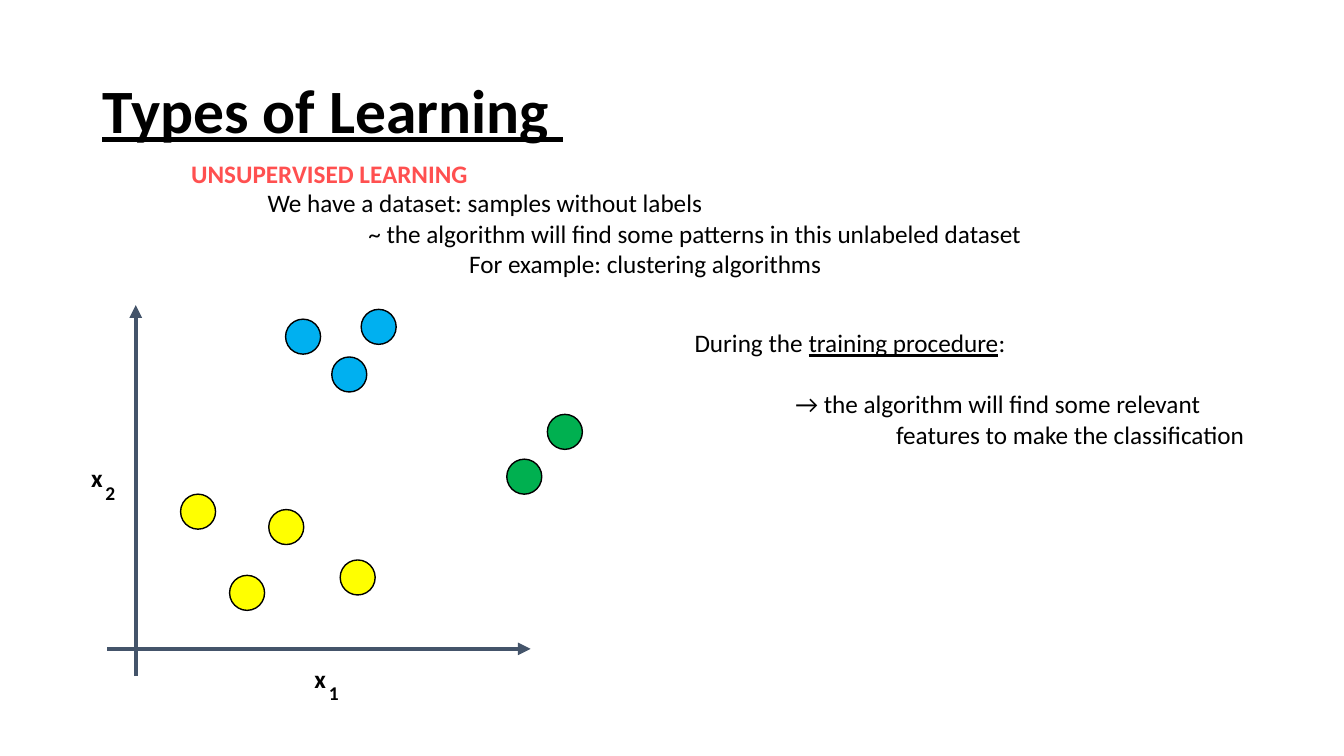
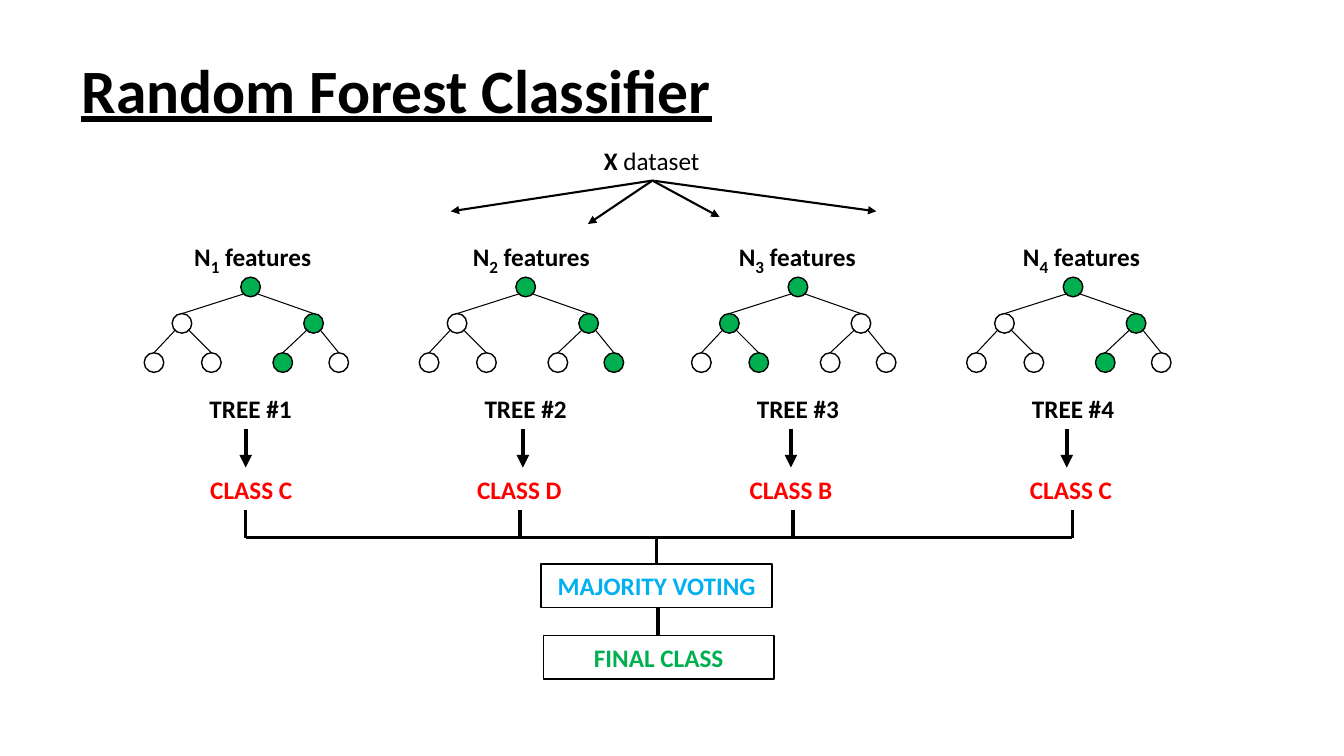
from dataclasses import dataclass

from lxml import etree
from pptx import Presentation
from pptx.dml.color import RGBColor
from pptx.enum import shapes, text
from pptx.oxml import ns
from pptx.util import Pt


@dataclass(frozen=True)
class Theme:
    font: str = "Calibri"
    black: str = "000000"
    white: str = "FFFFFF"
    axis: str = "44546A"
    coral: str = "FF5050"
    red: str = "FF0000"
    blue: str = "00B0F0"
    green: str = "00B050"
    yellow: str = "FFFF00"
    title: float = 44
    body: float = 18
    axis_sub: float = 24   # shrinks to about 14 pt as a subscript
    label_sub: float = 21  # shrinks to about 12 pt as a subscript


T = Theme()

# Scatter plot: left and top of each sample, by cluster
DOT = 25
CLUSTERS = {
    T.yellow: [(129, 353), (164, 411), (192, 364), (243, 400)],
    T.blue: [(204, 228), (237, 255), (258, 221)],
    T.green: [(362, 328), (391, 296)],
}

# Decision tree: node centres relative to the root; children of i are 2i+1, 2i+2
NODE = 14
ROOT_Y = 205
NODES = [(0, 0), (-49, 26), (45, 26), (-69, 54), (-28, 54), (23, 54), (63, 54)]


@dataclass(frozen=True)
class Tree:
    root: float
    features: float
    arrow: float
    vote: float
    drop: float
    tip: tuple
    path_nodes: tuple
    result: str


FOREST = [
    Tree(179, 180.5, 175.5, 179.5, 175.5, (322, 151), (0, 2, 5), "C"),
    Tree(375.5, 379.5, 373.5, 371, 371.5, (420, 160), (0, 2, 6), "D"),
    Tree(570, 569.5, 565, 565, 566.5, (514, 155), (0, 1, 4), "B"),
    Tree(766.5, 772.5, 762, 765, 766, (626, 151), (0, 2, 5), "C"),
]


# Text
def style_run(r, size=T.body, color=T.black, bold=False, underline=False,
              drop=0, gap=0):
    """drop is a subscript's depth in percent; gap is extra spacing in points."""
    f = r.font
    f.name, f.size, f.bold, f.underline = T.font, Pt(size), bold, underline
    f.color.rgb = RGBColor.from_string(color)
    rpr = r._r.get_or_add_rPr()
    if drop:
        rpr.set("baseline", str(-drop * 1000))
    if gap:
        rpr.set("spc", str(gap * 100))


def add_text(slide, box, paragraphs, align=text.PP_ALIGN.LEFT):
    """Each paragraph is (indent, space before, [(text, style), ...])."""
    sp = slide.shapes.add_textbox(*map(Pt, box))
    tf = sp.text_frame
    tf.word_wrap = True
    for i, (indent, before, runs) in enumerate(paragraphs):
        p = tf.add_paragraph() if i else tf.paragraphs[0]
        p.alignment = align
        if indent:
            p._p.get_or_add_pPr().set("marL", str(Pt(indent)))
        if before:
            p.space_before = Pt(before)
        for words, style in runs:
            r = p.add_run()
            r.text = words
            style_run(r, **style)


def add_label(slide, center, top, *runs, width=130):
    add_text(slide, (center - width / 2, top, width, 29), [(0, 0, runs)],
             text.PP_ALIGN.CENTER)


def add_title(prs, words, left, top):
    slide = prs.slides.add_slide(prs.slide_layouts[5])
    sp = slide.shapes.title
    sp.left, sp.top, sp.width, sp.height = map(Pt, (left, top, 828, 104))
    tf = sp.text_frame
    tf.text = words
    tf.word_wrap = True
    tf.auto_size = text.MSO_AUTO_SIZE.NONE
    tf.vertical_anchor = text.MSO_ANCHOR.MIDDLE
    p = tf.paragraphs[0]
    p.alignment, p.line_spacing = text.PP_ALIGN.LEFT, 0.9
    style_run(p.runs[0], size=T.title, bold=True, underline=True)
    return slide


# Shapes and lines
def add_outlined(slide, kind, box, fill):
    sp = slide.shapes.add_shape(kind, *map(Pt, box))
    sp.shadow.inherit = False
    sp.fill.solid()
    sp.fill.fore_color.rgb = RGBColor.from_string(fill)
    sp.line.color.rgb = RGBColor.from_string(T.black)
    sp.line.width = Pt(1)
    return sp


def add_circle(slide, left, top, size, fill):
    add_outlined(slide, shapes.MSO_SHAPE.OVAL, (left, top, size, size), fill)


def add_box(slide, left, top, words, color):
    sp = add_outlined(slide, shapes.MSO_SHAPE.RECTANGLE,
                      (left, top, 165, 31), T.white)
    tf = sp.text_frame
    tf.text = words
    tf.vertical_anchor = text.MSO_ANCHOR.MIDDLE
    p = tf.paragraphs[0]
    p.alignment = text.PP_ALIGN.CENTER
    style_run(p.runs[0], color=color, bold=True)


def add_line(slide, start, end, width, color=T.black, arrow=False):
    line = slide.shapes.add_connector(
        shapes.MSO_CONNECTOR.STRAIGHT, *map(Pt, (*start, *end)))
    line.line.color.rgb = RGBColor.from_string(color)
    line.line.width = Pt(width)
    if arrow:
        etree.SubElement(line.line._get_or_add_ln(), ns.qn("a:tailEnd"),
                         type="triangle")
    etree.SubElement(line._element.spPr, ns.qn("a:effectLst"))


def add_axis_name(slide, left, top, number):
    add_text(slide, (left, top, 45, 29), [(0, 0, [
        ("x", dict(bold=True, gap=2)),
        (number, dict(size=T.axis_sub, bold=True, drop=38)),
    ])])


def add_tree(slide, root_x, path_nodes):
    centers = [(root_x + dx, ROOT_Y + dy) for dx, dy in NODES]
    radius = NODE / 2
    for i, (x, y) in enumerate(centers):
        fill = T.green if i in path_nodes else T.white
        add_circle(slide, x - radius, y - radius, NODE, fill)
    rim = radius * 0.71  # the 45 degree point on a node's edge
    for i, (x, y) in enumerate(centers[1:]):
        parent_x, parent_y = centers[i // 2]
        side = -rim if x < parent_x else rim
        add_line(slide, (parent_x + side, parent_y + rim), (x, y - radius), 0.75)


# Slides
def build_learning(prs):
    slide = add_title(prs, "Types of Learning ", 66, 29)
    add_text(slide, (129.5, 109.5, 240, 29), [
        (0, 0, [("UNSUPERVISED LEARNING", dict(color=T.coral, bold=True))])])
    add_text(slide, (184, 130.5, 580, 80), [
        (0, 0, [("We have a dataset: samples without labels", {})]),
        (72, 0, [("~ the algorithm will find some patterns in this "
                  "unlabeled dataset", {})]),
        (144, 0, [("For example: clustering algorithms", {})]),
    ])

    # Axes and samples
    add_line(slide, (97, 483), (97, 218), 3, T.axis, arrow=True)
    add_line(slide, (76.5, 463.5), (379, 463.5), 3, T.axis, arrow=True)
    add_axis_name(slide, 58, 321, "2")
    add_axis_name(slide, 217.5, 464, "1")
    for color, places in CLUSTERS.items():
        for left, top in places:
            add_circle(slide, left, top, DOT, color)

    # Training note; the space before is one empty line
    add_text(slide, (489, 230.5, 430, 94), [
        (0, 0, [("During the ", {}),
                ("training procedure", dict(underline=True)), (":", {})]),
        (72, 22, [("→ the algorithm will find some relevant", {})]),
        (144, 0, [("features to make the classification", {})]),
    ])


def build_forest(prs):
    slide = add_title(prs, "Random Forest Classifier", 51, 14.5)
    bold = dict(bold=True)
    add_label(slide, 465.5, 100, ("X", bold), (" dataset", {}))

    # One column per tree, from the dataset down to its vote
    bar_y = 384
    for number, tree in enumerate(FOREST, 1):
        add_line(slide, (466, 129), tree.tip, 1.5, arrow=True)
        add_label(slide, tree.features, 165.5, ("N", bold),
                  (str(number), dict(size=T.label_sub, bold=True, drop=24,
                                     gap=-2)),
                  (" features", bold))
        add_tree(slide, tree.root, tree.path_nodes)
        add_label(slide, tree.root, 277.5, (f"TREE #{number}", bold))
        add_line(slide, (tree.arrow, 306.5), (tree.arrow, 334), 3, arrow=True)
        add_label(slide, tree.vote, 335.5,
                  (f"CLASS {tree.result}", dict(color=T.red, bold=True)))
        add_line(slide, (tree.drop, 364), (tree.drop, bar_y), 2.25)

    # Voting
    add_line(slide, (FOREST[0].drop, bar_y), (FOREST[-1].drop, bar_y), 2.25)
    add_line(slide, (469, bar_y), (469, 403), 2.25)
    add_box(slide, 386.5, 403, "MAJORITY VOTING", T.blue)
    add_line(slide, (470, 434), (470, 454), 2.25)
    add_box(slide, 388, 454, "FINAL CLASS", T.green)


def main():
    prs = Presentation()
    prs.slide_width, prs.slide_height = Pt(960), Pt(540)
    build_learning(prs)
    build_forest(prs)
    prs.save("out.pptx")


if __name__ == "__main__":
    main()
